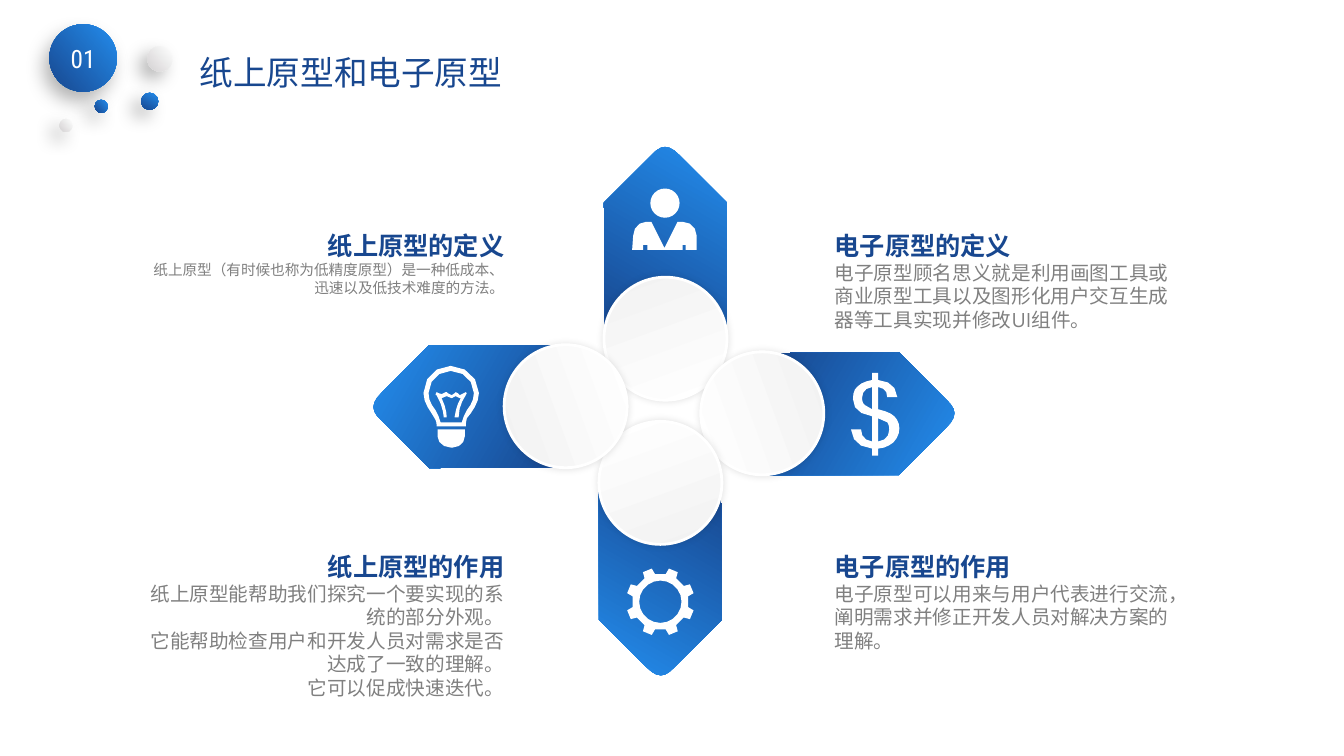
from dataclasses import dataclass
from math import cos, radians, sin

from lxml import etree
from pptx import Presentation
from pptx.dml.color import RGBColor
from pptx.enum.lang import MSO_LANGUAGE_ID
from pptx.enum.shapes import MSO_SHAPE
from pptx.enum.text import MSO_ANCHOR, MSO_AUTO_SIZE, PP_ALIGN
from pptx.oxml.ns import qn
from pptx.util import Inches, Pt

ELLIPSE = MSO_SHAPE.OVAL
LEFT, CENTER, RIGHT = PP_ALIGN.LEFT, PP_ALIGN.CENTER, PP_ALIGN.RIGHT
TOP, MIDDLE = MSO_ANCHOR.TOP, MSO_ANCHOR.MIDDLE
NO_AUTOFIT = MSO_AUTO_SIZE.NONE
CHINESE = MSO_LANGUAGE_ID.SIMPLIFIED_CHINESE
Contour = list[tuple[float, float]]


@dataclass(frozen=True)
class Theme:
    navy: str = "18478F"
    white: str = "FFFFFF"
    gray: str = "808080"
    blue_gradient: tuple[str, str] = ("238DED", "18478F")
    pale_gradient: tuple[str, str] = ("FFFFFF", "F2F2F2")
    silver_gradient: tuple[str, str] = ("FFFFFF", "D4D2D3")
    title_size: float = 24
    heading_size: float = 18
    body_size: float = 14
    small_size: float = 10.5
    text_font: str = "Open Sans"
    number_font: str = "Roboto Condensed"


THEME = Theme()


@dataclass(frozen=True)
class Shadow:
    opacity: int
    blur: float
    distance: float = 0
    angle: int = 0


@dataclass(frozen=True)
class Arm:
    x: float
    y: float
    rotation: int


@dataclass(frozen=True)
class Bubble:
    x: float
    y: float
    diameter: float
    colors: tuple[str, str]
    angle: int = 140
    shadow: Shadow = Shadow(30, 13, 8, 135)


@dataclass(frozen=True)
class Note:
    x: float
    y: float
    width: float
    height: float
    heading: str
    body: list[str]
    align: PP_ALIGN
    heading_line: float = 21.6
    body_size: float = THEME.body_size


ARMS = [Arm(6.6, 2.37, 0), Arm(8.55, 4.1, 90), Arm(6.55, 5.78, 180), Arm(4.62, 4.03, 270)]
NUMBER_BUBBLE = Bubble(0.49, 0.24, 0.67, THEME.blue_gradient, shadow=Shadow(30, 14, 8, 120))
SMALL_BUBBLES = [
    Bubble(1.46, 0.46, 0.25, THEME.silver_gradient),
    Bubble(0.59, 1.18, 0.13, THEME.silver_gradient),
    Bubble(0.94, 0.99, 0.13, THEME.blue_gradient),
    Bubble(1.4, 0.92, 0.17, THEME.blue_gradient, angle=120),
]
NOTES = [
    Note(8.18, 1.94, 3.66, 1.41, "电子原型的定义",
         ["电子原型顾名思义就是利用画图工具或商业原型工具以及图形化用户交互生成器等工具实现并修改UI组件。"],
         LEFT, heading_line=43),
    Note(1.32, 1.94, 3.78, 1.06, "纸上原型的定义",
         ["纸上原型（有时候也称为低精度原型）是一种低成本、迅速以及低技术难度的方法。"],
         RIGHT, heading_line=43, body_size=THEME.small_size),
    Note(8.18, 5.42, 3.66, 1.11, "电子原型的作用",
         ["电子原型可以用来与用户代表进行交流，阐明需求并修正开发人员对解决方案的理解。"], LEFT),
    Note(1.32, 5.42, 3.78, 1.82, "纸上原型的作用",
         ["纸上原型能帮助我们探究一个要实现的系统的部分外观。",
          "它能帮助检查用户和开发人员对需求是否达成了一致的理解。",
          "它可以促成快速迭代。"], RIGHT),
]

# Outlines in inches: M starts a contour, L is a line, C a cubic curve
ARROW = ("M -.61 -.36 L -.14 -.83 C -.04 -.94 .03 -.94 .14 -.83 L .61 -.36 L .61 .92 "
         "L -.6 .92 L -.61 -.36")
BULB_GLASS = (
    "M 4.6 4.23 L 4.33 4.23 L 4.33 4.21 C 4.33 4.19 4.32 4.16 4.31 4.15 "
    "L 4.28 4.1 C 4.24 4.04 4.2 3.98 4.2 3.9 C 4.2 3.75 4.32 3.63 4.47 3.63 "
    "C 4.62 3.63 4.75 3.75 4.75 3.9 C 4.75 3.98 4.71 4.04 4.67 4.1 L 4.63 4.15 "
    "C 4.63 4.16 4.62 4.19 4.62 4.21 L 4.62 4.23 "
    "M 4.37 4.19 L 4.58 4.19 L 4.6 4.13 L 4.63 4.07 "
    "C 4.67 4.02 4.7 3.97 4.7 3.9 C 4.7 3.78 4.6 3.68 4.47 3.68 C 4.35 3.68 4.25 3.78 4.25 3.9 "
    "C 4.25 3.97 4.28 4.02 4.32 4.07 L 4.35 4.13 L 4.37 4.19")
BULB_BASE = ("M 4.34 4.26 L 4.34 4.33 C 4.34 4.39 4.4 4.44 4.47 4.44 L 4.49 4.44 "
             "C 4.56 4.44 4.61 4.39 4.61 4.33 L 4.61 4.26")
BULB_FILAMENT = (
    "M 4.62 3.92 C 4.58 3.98 4.55 4.05 4.55 4.13 L 4.55 4.14 L 4.51 4.14 L 4.51 4.13 "
    "C 4.52 4.06 4.54 4 4.57 3.95 L 4.56 3.95 L 4.52 3.93 L 4.48 3.95 L 4.43 3.93 L 4.38 3.95 "
    "C 4.42 4.03 4.43 4.1 4.43 4.13 L 4.43 4.14 L 4.4 4.14 L 4.4 4.13 C 4.4 4.1 4.38 4 4.33 3.92 "
    "L 4.32 3.92 L 4.32 3.91 L 4.33 3.89 L 4.35 3.9 L 4.38 3.91 L 4.42 3.89 L 4.43 3.89 L 4.44 3.9 "
    "L 4.48 3.92 L 4.51 3.9 L 4.52 3.89 L 4.54 3.9 L 4.56 3.92 L 4.6 3.9 L 4.62 3.89 L 4.63 3.9")
DOLLAR = (
    "M 8.71 4.06 C 8.79 4.08 8.84 4.1 8.87 4.13 C 8.9 4.16 8.92 4.2 8.92 4.25 "
    "C 8.92 4.3 8.9 4.35 8.86 4.39 C 8.82 4.42 8.77 4.45 8.71 4.45 L 8.71 4.52 L 8.65 4.52 "
    "L 8.65 4.45 C 8.52 4.44 8.45 4.37 8.44 4.26 L 8.54 4.26 C 8.54 4.33 8.58 4.37 8.65 4.38 "
    "L 8.65 4.13 C 8.52 4.11 8.46 4.05 8.46 3.96 C 8.46 3.9 8.47 3.86 8.51 3.83 "
    "C 8.54 3.8 8.59 3.78 8.65 3.77 L 8.65 3.7 L 8.71 3.7 L 8.71 3.77 "
    "C 8.82 3.78 8.89 3.83 8.9 3.94 L 8.8 3.94 C 8.8 3.88 8.77 3.85 8.71 3.84 "
    "M 8.65 4.06 L 8.65 3.84 C 8.58 3.85 8.55 3.89 8.55 3.95 C 8.55 3.98 8.56 4.01 8.58 4.02 "
    "L 8.65 4.06 M 8.71 4.38 C 8.78 4.37 8.82 4.33 8.82 4.26 "
    "C 8.82 4.23 8.81 4.2 8.8 4.19 L 8.71 4.15")
PERSON_BODY = (
    "M 6.38 2.48 L 6.38 2.43 L 6.42 2.43 L 6.42 2.48 L 6.77 2.48 L 6.77 2.43 L 6.8 2.43 L 6.8 2.48 "
    "L 6.91 2.48 L 6.91 2.34 C 6.91 2.26 6.85 2.2 6.77 2.2 L 6.72 2.2 L 6.59 2.46 L 6.46 2.2 "
    "L 6.41 2.2 C 6.34 2.2 6.28 2.26 6.28 2.34 L 6.27 2.48")


def trace(outline: str, x: float = 0, y: float = 0, steps: int = 3) -> list[Contour]:
    """Turn an outline into contours of points, shifted by x and y."""
    contours: list[Contour] = []
    for part in outline.replace("M", "|M").replace("L", "|L").replace("C", "|C").split("|")[1:]:
        numbers = [float(token) for token in part[1:].split()]
        points = [(a + x, b + y) for a, b in zip(numbers[::2], numbers[1::2])]
        if part[0] == "M":
            contours.append(points)
        elif part[0] == "L":
            contours[-1].extend(points)
        else:
            curve = [contours[-1][-1], *points]
            for step in range(1, steps + 1):
                t = step / steps
                weights = ((1 - t) ** 3, 3 * t * (1 - t) ** 2, 3 * t * t * (1 - t), t ** 3)
                contours[-1].append(tuple(sum(w * point[axis] for w, point in zip(weights, curve))
                                          for axis in (0, 1)))
    return contours


def gear(x: float, y: float, teeth: int = 8) -> list[Contour]:
    def polar(radius: float, degrees: float) -> tuple[float, float]:
        return x + radius * cos(radians(degrees)), y + radius * sin(radians(degrees))

    profile = ((0.28, -11.5), (0.34, -8), (0.34, 8), (0.28, 11.5))
    rim = [polar(radius, (tooth + 0.5) * 360 / teeth + offset)
           for tooth in range(teeth) for radius, offset in profile]
    return [rim, [polar(0.21, degrees) for degrees in range(0, 360, 18)]]


def style(shape, colors: tuple[str, ...], angle: int = 0, shadow: Shadow | None = None) -> None:
    """Fill with one colour or a clockwise-angled gradient, with no line."""
    shape.line.fill.background()
    shape.shadow.inherit = False
    if len(colors) == 1:
        shape.fill.solid()
        shape.fill.fore_color.rgb = RGBColor.from_string(colors[0])
    else:
        shape.fill.gradient()
        shape.fill.gradient_angle = 360 - angle
        for stop, color in zip(shape.fill.gradient_stops, colors):
            stop.color.rgb = RGBColor.from_string(color)
    if shadow:
        effects = shape._element.spPr.find(qn("a:effectLst"))
        outer = etree.SubElement(effects, qn("a:outerShdw"), blurRad=str(Pt(shadow.blur)),
                                 dist=str(Pt(shadow.distance)), dir=str(shadow.angle * 60000),
                                 algn="ctr", rotWithShape="0")
        color = etree.SubElement(outer, qn("a:srgbClr"), val="000000")
        etree.SubElement(color, qn("a:alpha"), val=str(shadow.opacity * 1000))


def add_outline(slide, contours: list[Contour], colors: tuple[str, ...], angle: int = 0):
    scaled = [[(Inches(x), Inches(y)) for x, y in contour] for contour in contours]
    builder = slide.shapes.build_freeform(*scaled[0][0], scale=1.0)
    builder.add_line_segments(scaled[0][1:], close=True)
    for contour in scaled[1:]:
        builder.move_to(*contour[0])
        builder.add_line_segments(contour[1:], close=True)
    shape = builder.convert_to_shape()
    style(shape, colors, angle)
    return shape


def add_circle(slide, x: float, y: float, diameter: float, colors: tuple[str, ...],
               angle: int = 0, shadow: Shadow | None = None):
    shape = slide.shapes.add_shape(ELLIPSE, *map(Inches, (x, y, diameter, diameter)))
    style(shape, colors, angle, shadow)
    return shape


def write(paragraph, text: str, *, size: float, color: str, font: str = THEME.text_font,
          bold: bool = False, align: PP_ALIGN = LEFT, line: float | None = None) -> None:
    paragraph.alignment = align
    paragraph.line_spacing = Pt(line or size * 1.2)
    run = paragraph.add_run()
    run.text = text
    run.font.size, run.font.bold, run.font.name = Pt(size), bold, font
    run.font.color.rgb = RGBColor.from_string(color)
    run.font.language_id = CHINESE
    etree.SubElement(run._r.get_or_add_rPr(), qn("a:ea"), typeface=font)


def add_note(slide, note: Note) -> None:
    box = slide.shapes.add_textbox(*map(Inches, (note.x, note.y, note.width, note.height)))
    frame = box.text_frame
    frame.word_wrap = True
    write(frame.paragraphs[0], note.heading, size=THEME.heading_size, color=THEME.navy,
          bold=True, align=note.align, line=note.heading_line)
    for text in note.body:
        write(frame.add_paragraph(), text, size=note.body_size, color=THEME.gray, align=note.align)


def add_arm(slide, arm: Arm) -> None:
    arrow = add_outline(slide, trace(ARROW, arm.x, arm.y, steps=6), THEME.blue_gradient, 120)
    arrow.rotation = arm.rotation
    reach, diameter = 0.99, 1.22
    x = arm.x - reach * sin(radians(arm.rotation)) - diameter / 2
    y = arm.y + reach * cos(radians(arm.rotation)) - diameter / 2
    disc = add_circle(slide, x, y, diameter, THEME.pale_gradient, 250, Shadow(11, 5))
    disc.rotation = arm.rotation
    disc.line.color.rgb = RGBColor.from_string(THEME.white)
    disc.line.width = Pt(2)


def add_bubble(slide, bubble: Bubble):
    return add_circle(slide, bubble.x, bubble.y, bubble.diameter, bubble.colors,
                      bubble.angle, bubble.shadow)


def main() -> None:
    presentation = Presentation()
    presentation.slide_width, presentation.slide_height = Inches(13.33), Inches(7.5)
    slide = presentation.slides.add_slide(presentation.slide_layouts[5])

    # Title
    title = slide.shapes.title
    title.left, title.top, title.width, title.height = map(Inches, (1.88, 0.48, 4.07, 0.5))
    title.text_frame.auto_size, title.text_frame.vertical_anchor = NO_AUTOFIT, TOP
    write(title.text_frame.paragraphs[0], "纸上原型和电子原型", size=THEME.title_size,
          color=THEME.navy, line=28)

    # Cross of arrows and discs
    for arm in ARMS:
        add_arm(slide, arm)

    # Icons
    for outline in (BULB_GLASS, BULB_BASE, BULB_FILAMENT, DOLLAR, PERSON_BODY):
        add_outline(slide, trace(outline), (THEME.white,))
    add_outline(slide, gear(6.55, 5.97), (THEME.white,))
    add_circle(slide, 6.45, 1.87, 0.29, (THEME.white,))

    # Notes
    for note in NOTES:
        add_note(slide, note)

    # Section number and bubbles
    frame = add_bubble(slide, NUMBER_BUBBLE).text_frame
    frame.vertical_anchor, frame.word_wrap = MIDDLE, False
    write(frame.paragraphs[0], "01", size=THEME.heading_size, color=THEME.white,
          font=THEME.number_font, align=CENTER)
    for bubble in SMALL_BUBBLES:
        add_bubble(slide, bubble)

    presentation.save("out.pptx")


if __name__ == "__main__":
    main()
